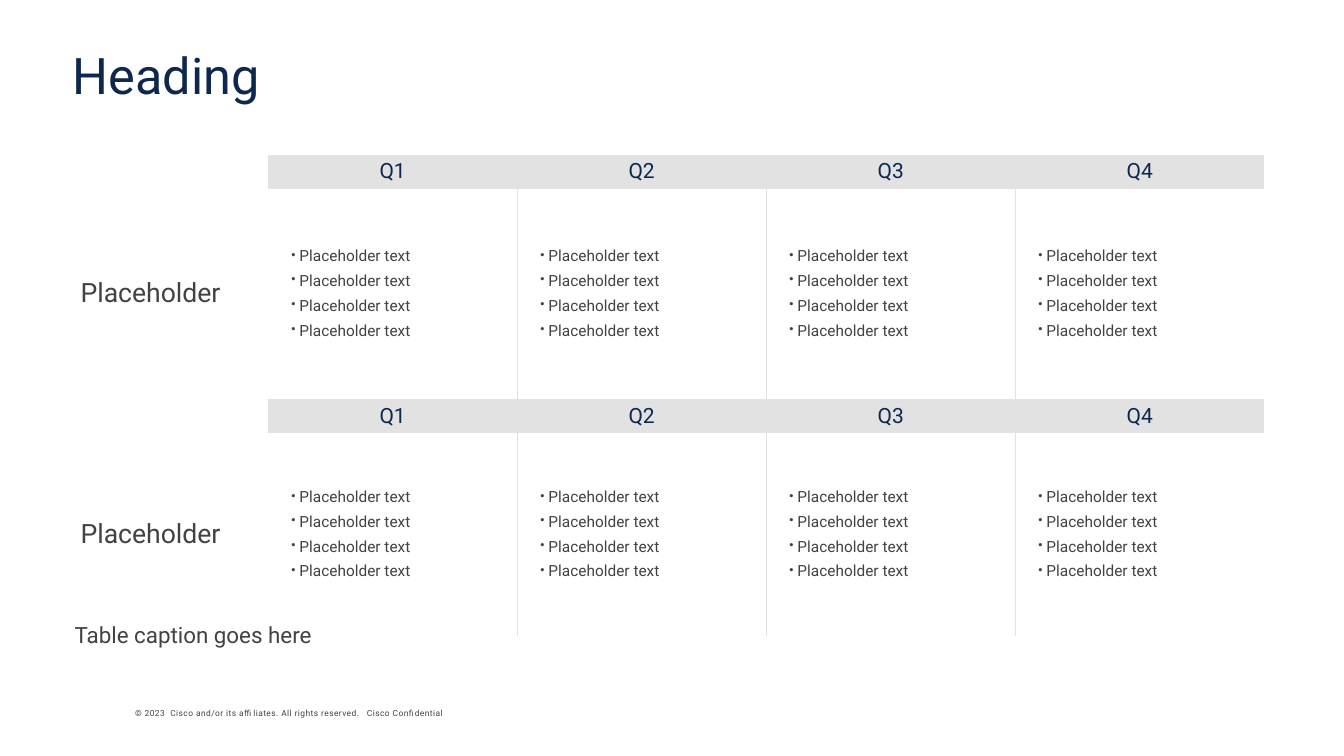
import pptx
import pptx.dml.color
import pptx.enum.text
import pptx.oxml.ns
import pptx.util
from lxml import etree

Inches = pptx.util.Inches
Pt = pptx.util.Pt
RGBColor = pptx.dml.color.RGBColor
Align = pptx.enum.text.PP_ALIGN
Anchor = pptx.enum.text.MSO_ANCHOR
AutoSize = pptx.enum.text.MSO_AUTO_SIZE
qn = pptx.oxml.ns.qn

NAVY = RGBColor(0x0D, 0x27, 0x4D)
GREY = RGBColor(0x41, 0x42, 0x44)
LIGHT = RGBColor(0xE2, 0xE2, 0xE2)
PLAIN_TABLE = "{2D5ABB26-0587-4C30-8999-92F81FD0307C}"

QUARTERS = ["Q1", "Q2", "Q3", "Q4"]
ROW_LABELS = ["Placeholder", "Placeholder"]
ITEMS = ["Placeholder text"] * 4
COLUMN_WIDTHS = [1.98] + [2.47] * 4
ROW_HEIGHTS = [0.33, 2.09, 0.34, 2.01]


class QuarterSlide:
    """Hold the slide and its style, and add each kind of element."""

    font_name = "Roboto"

    def __init__(self, presentation):
        self.slide = presentation.slides.add_slide(presentation.slide_layouts[1])

    def add_text(self, paragraph, text, size, color):
        run = paragraph.add_run()
        run.text = text
        run.font.name = self.font_name
        run.font.size = Pt(size)
        run.font.color.rgb = color
        return run

    def frame(self, shape, box, anchor, side, edge):
        shape.left, shape.top, shape.width, shape.height = map(Inches, box)
        text_frame = shape.text_frame
        text_frame.word_wrap = True
        text_frame.auto_size = AutoSize.NONE
        text_frame.vertical_anchor = anchor
        text_frame.margin_left = text_frame.margin_right = Inches(side)
        text_frame.margin_top = text_frame.margin_bottom = Inches(edge)
        return text_frame.paragraphs[0]

    def title(self, text, box):
        paragraph = self.frame(self.slide.shapes.title, box, Anchor.MIDDLE, 0.05, 0.05)
        paragraph.alignment = Align.LEFT
        paragraph.line_spacing = 0.8
        self.add_text(paragraph, text, 36, NAVY)

    def caption(self, text, box):
        paragraph = self.frame(self.slide.placeholders[1], box, Anchor.TOP, 0.05, 0.05)
        paragraph.space_before = Pt(0)
        self.bullet(paragraph, None, 0, 0)
        self.add_text(paragraph, text, 16, GREY)

    def footer(self, text, box):
        shape = self.slide.shapes.add_textbox(*map(Inches, box))
        paragraph = self.frame(shape, box, Anchor.BOTTOM, 0.09, 0.04)
        run = self.add_text(paragraph, text, 6, GREY)
        run.font._element.set("spc", "30")

    def bullet(self, paragraph, character, margin, indent):
        properties = paragraph._p.get_or_add_pPr()
        properties.set("marL", str(Inches(margin)))
        properties.set("indent", str(Inches(indent)))
        if character is None:
            etree.SubElement(properties, qn("a:buNone"))
        else:
            etree.SubElement(properties, qn("a:buSzPct"), val="80000")
            etree.SubElement(properties, qn("a:buChar"), char=character)

    def border(self, cell, side):
        line = etree.SubElement(cell._tc.get_or_add_tcPr(), qn(f"a:{side}"), w=str(Pt(1)))
        fill = etree.SubElement(line, qn("a:solidFill"))
        etree.SubElement(fill, qn("a:srgbClr"), val=str(LIGHT))

    def cell(self, cell, texts, size, color, alignment=Align.LEFT, bulleted=False):
        cell.margin_left = cell.margin_right = Inches(0.12)
        cell.margin_top = cell.margin_bottom = Inches(0.04)
        cell.vertical_anchor = Anchor.MIDDLE
        for index, text in enumerate(texts):
            paragraph = cell.text_frame.paragraphs[0] if index == 0 else cell.text_frame.add_paragraph()
            paragraph.alignment = alignment
            paragraph.line_spacing = 0.95
            if index:
                paragraph.space_before = Pt(size / 2)
            if bulleted:
                self.bullet(paragraph, "•", 0.19, -0.08)
            self.add_text(paragraph, text, size, color)
        if not texts:
            ending = cell.text_frame.paragraphs[0]._p.get_or_add_endParaRPr()
            ending.set("sz", str(size * 100))

    def table(self, left, top):
        graphic = self.slide.shapes.add_table(
            len(ROW_HEIGHTS), len(COLUMN_WIDTHS), Inches(left), Inches(top),
            Inches(sum(COLUMN_WIDTHS)), Inches(sum(ROW_HEIGHTS)))
        table = graphic.table
        table.first_row = table.horz_banding = False
        table._tbl.tblPr.find(qn("a:tableStyleId")).text = PLAIN_TABLE
        for column, width in zip(table.columns, COLUMN_WIDTHS):
            column.width = Inches(width)
        for row, height in zip(table.rows, ROW_HEIGHTS):
            row.height = Inches(height)
        for block, label in enumerate(ROW_LABELS):
            header, content = 2 * block, 2 * block + 1
            self.cell(table.cell(header, 0), [], 12, GREY)
            self.cell(table.cell(content, 0), [label], 19, GREY)
            for number, quarter in enumerate(QUARTERS, start=1):
                self.cell(table.cell(header, number), [quarter], 15, NAVY, Align.CENTER)
                self.cell(table.cell(content, number), ITEMS, 11, GREY, bulleted=True)
        for row in range(len(ROW_HEIGHTS)):
            for column in range(len(COLUMN_WIDTHS)):
                cell = table.cell(row, column)
                if column > 1:
                    self.border(cell, "lnL")
                if 0 < column < len(QUARTERS):
                    self.border(cell, "lnR")
                if row % 2 == 0 and column:
                    cell.fill.solid()
                    cell.fill.fore_color.rgb = LIGHT
                else:
                    cell.fill.background()


def main():
    presentation = pptx.Presentation()
    presentation.slide_width = Inches(13.33)
    presentation.slide_height = Inches(7.5)
    slide = QuarterSlide(presentation)
    slide.footer(
        "© 2023  Cisco and/or its affiliates. All rights reserved.   Cisco Confidential",
        (1.25, 6.97, 4.96, 0.19))
    slide.title("Heading", (0.67, 0.42, 12, 0.75))
    slide.table(0.68, 1.54)
    slide.caption("Table caption goes here", (0.69, 6.11, 5.98, 0.4))
    presentation.save("out.pptx")


if __name__ == "__main__":
    main()
